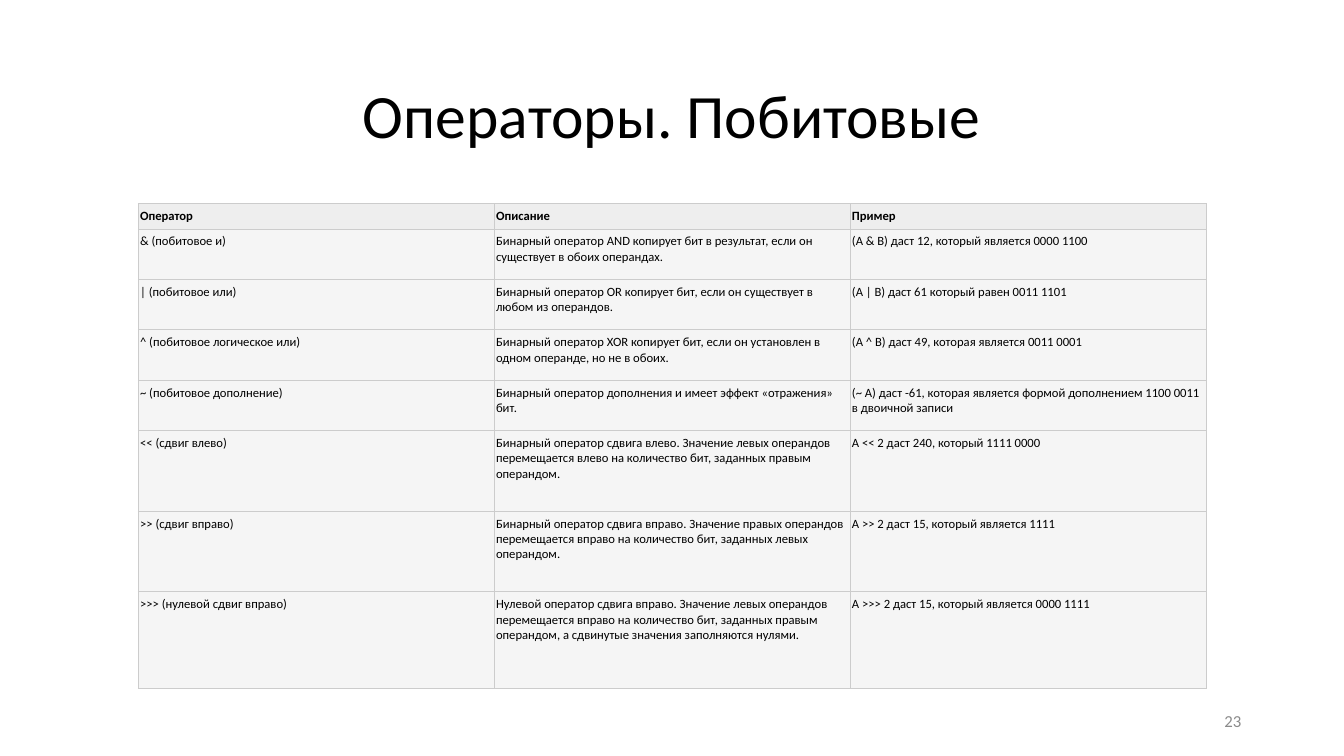
import pptx
import pptx.dml.color
import pptx.enum.text
import pptx.oxml
import pptx.oxml.ns
import pptx.util
from lxml import etree

TITLE = "Операторы. Побитовые"
SLIDE_NUMBER = "23"
HEADER = ("Оператор", "Описание", "Пример")
OPERATORS = [
    ("& (побитовое и)",
     "Бинарный оператор AND копирует бит в результат, если он существует в обоих операндах.",
     "(A & B) даст 12, который является 0000 1100"),
    ("| (побитовое или)",
     "Бинарный оператор OR копирует бит, если он существует в любом из операндов.",
     "(A | B) даст 61 который равен 0011 1101"),
    ("^ (побитовое логическое или)",
     "Бинарный оператор XOR копирует бит, если он установлен в одном операнде, но не в обоих.",
     "(A ^ B) даст 49, которая является 0011 0001"),
    ("~ (побитовое дополнение)",
     "Бинарный оператор дополнения и имеет эффект «отражения» бит.",
     "(~ A) даст -61, которая является формой дополнением 1100 0011 в двоичной записи"),
    ("<< (сдвиг влево)",
     "Бинарный оператор сдвига влево. Значение левых операндов перемещается влево "
     "на количество бит, заданных правым операндом.",
     "A << 2 даст 240, который 1111 0000"),
    (">> (сдвиг вправо)",
     "Бинарный оператор сдвига вправо. Значение правых операндов перемещается вправо "
     "на количество бит, заданных левых операндом.",
     "A >> 2 даст 15, который является 1111"),
    (">>> (нулевой сдвиг вправо)",
     "Нулевой оператор сдвига вправо. Значение левых операндов перемещается вправо "
     "на количество бит, заданных правым операндом, а сдвинутые значения заполняются нулями.",
     "A >>> 2 даст 15, который является 0000 1111"),
]

FONT = "Calibri"
BLACK, GRAY = "000000", "8B8B8B"
HEADER_FILL, BODY_FILL, BORDER = "EEEEEE", "F5F5F5", "CCCCCC"
BORDER_POINTS = 0.57
SLIDE_WIDTH, SLIDE_HEIGHT = 13.33, 7.5
MARGIN = 0.92
NUMBER_WIDTH = 3
TABLE_TOP, COLUMN_WIDTH = 2.02, 3.53
ROW_HEIGHTS = [0.19] + [0.5] * 4 + [0.8] * 2 + [0.96]

inches = pptx.util.Inches
align = pptx.enum.text.PP_ALIGN


def color(hex_code):
    return pptx.dml.color.RGBColor.from_string(hex_code)


def add_run(paragraph, text, size, hex_code=BLACK, bold=False):
    run = paragraph.add_run()
    run.text = text
    run.font.name = FONT
    run.font.size = pptx.util.Pt(size)
    run.font.bold = bold
    run.font.color.rgb = color(hex_code)


def add_text(slide, box, text, size, alignment, hex_code=BLACK):
    shape = slide.shapes.add_textbox(*map(inches, box))
    frame = shape.text_frame
    frame.word_wrap = True
    frame.vertical_anchor = pptx.enum.text.MSO_ANCHOR.MIDDLE
    paragraph = frame.paragraphs[0]
    paragraph.alignment = alignment
    add_run(paragraph, text, size, hex_code)


def set_borders(cell):
    """Draw a thin line on all four sides; borders must precede the fill in the XML."""
    properties = cell._tc.get_or_add_tcPr()
    for position, side in enumerate(("lnL", "lnR", "lnT", "lnB")):
        line = etree.Element(pptx.oxml.ns.qn("a:" + side),
                             w=str(pptx.util.Pt(BORDER_POINTS)))
        fill = etree.SubElement(line, pptx.oxml.ns.qn("a:solidFill"))
        etree.SubElement(fill, pptx.oxml.ns.qn("a:srgbClr"), val=BORDER)
        properties.insert(position, line)


def fill_cell(cell, text, is_header):
    cell.margin_left = cell.margin_right = inches(0.02)
    cell.margin_top = cell.margin_bottom = inches(0.05)
    cell.fill.solid()
    cell.fill.fore_color.rgb = color(HEADER_FILL if is_header else BODY_FILL)
    set_borders(cell)
    add_run(cell.text_frame.paragraphs[0], text, 9, bold=is_header)


def add_operator_table(slide):
    rows = [HEADER] + OPERATORS
    width = COLUMN_WIDTH * len(HEADER)
    left = (SLIDE_WIDTH - width) / 2
    table = slide.shapes.add_table(
        len(rows), len(HEADER), inches(left), inches(TABLE_TOP),
        inches(width), inches(sum(ROW_HEIGHTS))).table
    for column in table.columns:
        column.width = inches(COLUMN_WIDTH)
    for row_index, texts in enumerate(rows):
        table.rows[row_index].height = inches(ROW_HEIGHTS[row_index])
        for column_index, text in enumerate(texts):
            fill_cell(table.cell(row_index, column_index), text, row_index == 0)


def main():
    presentation = pptx.Presentation()
    presentation.slide_width = inches(SLIDE_WIDTH)
    presentation.slide_height = inches(SLIDE_HEIGHT)
    slide = presentation.slides.add_slide(presentation.slide_layouts[6])
    content_width = SLIDE_WIDTH - 2 * MARGIN
    number_left = SLIDE_WIDTH - MARGIN - NUMBER_WIDTH
    add_text(slide, (MARGIN, 0.4, content_width, 1.45), TITLE, 44, align.CENTER)
    add_text(slide, (number_left, 6.95, NUMBER_WIDTH, 0.4), SLIDE_NUMBER, 12, align.RIGHT, GRAY)
    add_operator_table(slide)
    presentation.save("out.pptx")


if __name__ == "__main__":
    main()
